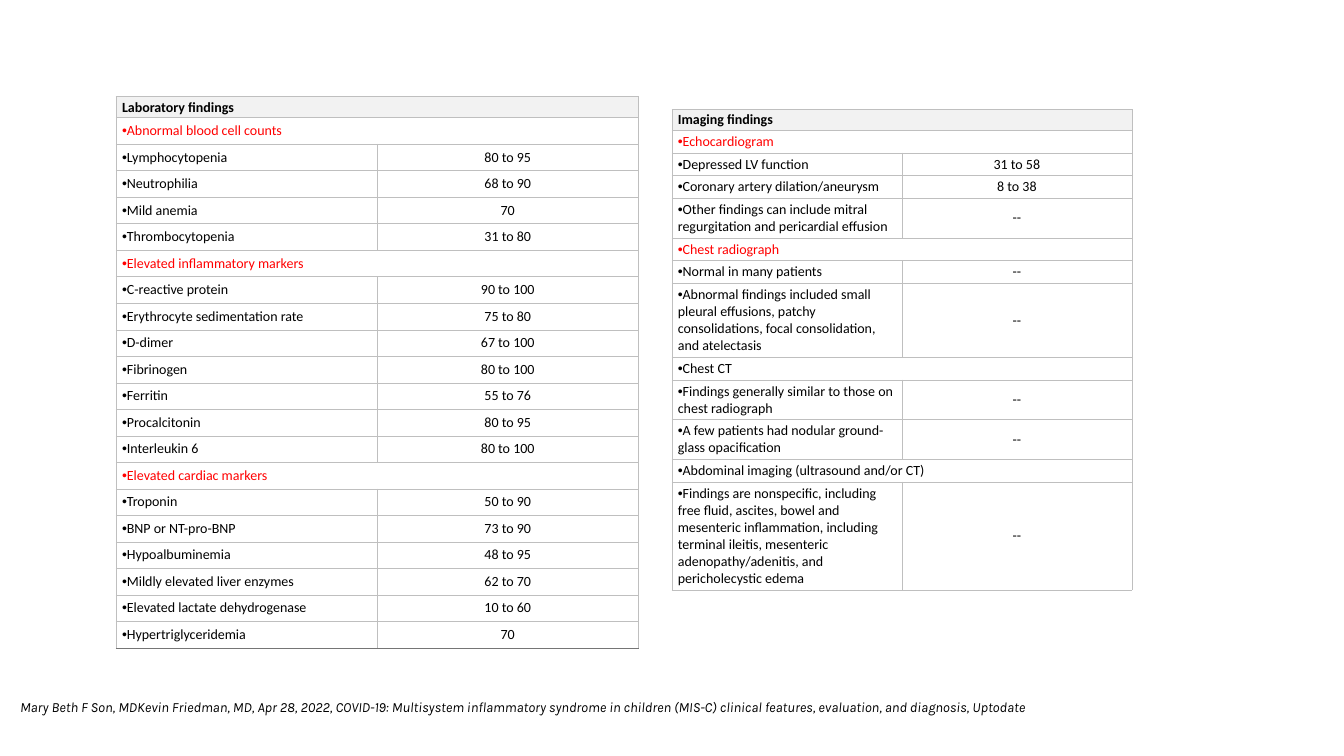
from lxml.etree import SubElement
from pptx import Presentation
from pptx.dml.color import RGBColor
from pptx.enum.text import MSO_ANCHOR, MSO_AUTO_SIZE, PP_ALIGN
from pptx.oxml.ns import qn
from pptx.util import Pt

BLACK, RED, WHITE = "000000", "FF0000", "FFFFFF"
HEADER_FILL, GRID, LAST_EDGE = "F2F2F2", "BFBFBF", "757575"
LINE_HEIGHT, SIDE_MARGIN = 12.2, 4.3
HEADER_MARGIN, BODY_MARGIN = 1.4, 2

# Each row: finding, value (None for a group heading), number of text lines
LABORATORY = {
    "title": "Laboratory findings",
    "left": 82.9, "top": 69.1, "column": 186.5, "row_padding": 6.75,
    "red": ("Abnormal blood cell counts", "Elevated inflammatory markers", "Elevated cardiac markers"),
    "last_edge": LAST_EDGE,
    "rows": [
        ("Abnormal blood cell counts", None, 1),
        ("Lymphocytopenia", "80 to 95", 1),
        ("Neutrophilia", "68 to 90", 1),
        ("Mild anemia", "70", 1),
        ("Thrombocytopenia", "31 to 80", 1),
        ("Elevated inflammatory markers", None, 1),
        ("C-reactive protein", "90 to 100", 1),
        ("Erythrocyte sedimentation rate", "75 to 80", 1),
        ("D-dimer", "67 to 100", 1),
        ("Fibrinogen", "80 to 100", 1),
        ("Ferritin", "55 to 76", 1),
        ("Procalcitonin", "80 to 95", 1),
        ("Interleukin 6", "80 to 100", 1),
        ("Elevated cardiac markers", None, 1),
        ("Troponin", "50 to 90", 1),
        ("BNP or NT-pro-BNP", "73 to 90", 1),
        ("Hypoalbuminemia", "48 to 95", 1),
        ("Mildly elevated liver enzymes", "62 to 70", 1),
        ("Elevated lactate dehydrogenase", "10 to 60", 1),
        ("Hypertriglyceridemia", "70", 1),
    ],
}
IMAGING = {
    "title": "Imaging findings",
    "left": 479.9, "top": 78.1, "column": 164.3, "row_padding": 4,
    "red": ("Echocardiogram", "Chest radiograph"),
    "last_edge": GRID,
    "rows": [
        ("Echocardiogram", None, 1),
        ("Depressed LV function", "31 to 58", 1),
        ("Coronary artery dilation/aneurysm", "8 to 38", 1),
        ("Other findings can include mitral regurgitation and pericardial effusion", "--", 2),
        ("Chest radiograph", None, 1),
        ("Normal in many patients", "--", 1),
        ("Abnormal findings included small pleural effusions, patchy consolidations, "
         "focal consolidation, and atelectasis", "--", 4),
        ("Chest CT", None, 1),
        ("Findings generally similar to those on chest radiograph", "--", 2),
        ("A few patients had nodular ground-glass opacification", "--", 2),
        ("Abdominal imaging (ultrasound and/or CT)", None, 1),
        ("Findings are nonspecific, including free fluid, ascites, bowel and mesenteric "
         "inflammation, including terminal ileitis, mesenteric adenopathy/adenitis, "
         "and pericholecystic edema", "--", 6),
    ],
}
CITATION = (
    "Mary Beth F Son, MDKevin Friedman, MD, Apr 28, 2022, COVID-19: Multisystem inflammatory "
    "syndrome in children (MIS-C) clinical features, evaluation, and diagnosis, Uptodate"
)


def color(hex_text):
    return RGBColor.from_string(hex_text)


def set_font(paragraph, name, hex_text, bold=False, italic=False):
    font = paragraph.font
    font.name, font.size, font.bold, font.italic = name, Pt(10), bold, italic
    font.color.rgb = color(hex_text)


def add_bullet(paragraph):
    properties = paragraph._p.get_or_add_pPr()
    properties.set("marL", "0")
    properties.set("indent", "0")
    SubElement(properties, qn("a:buFont")).set("typeface", "Arial")
    SubElement(properties, qn("a:buChar")).set("char", "•")


def style_cell(cell, fill, margin, bottom_edge):
    """Set borders first: they precede the fill in the cell's XML."""
    properties = cell._tc.get_or_add_tcPr()
    for side, edge in (("L", GRID), ("R", GRID), ("T", GRID), ("B", bottom_edge)):
        line = SubElement(properties, qn(f"a:ln{side}"), w=str(Pt(0.5)))
        SubElement(SubElement(line, qn("a:solidFill")), qn("a:srgbClr"), val=edge)
    cell.fill.solid()
    cell.fill.fore_color.rgb = color(fill)
    cell.vertical_anchor = MSO_ANCHOR.MIDDLE
    cell.margin_left = cell.margin_right = Pt(SIDE_MARGIN)
    cell.margin_top = cell.margin_bottom = Pt(margin)


def write_cell(cell, text, hex_text=BLACK, bold=False, bullet=False, align=PP_ALIGN.LEFT):
    paragraph = cell.text_frame.paragraphs[0]
    paragraph.text = text
    paragraph.alignment = align
    if bullet:
        add_bullet(paragraph)
    set_font(paragraph, "Calibri", hex_text, bold=bold)


def add_findings(slide, findings):
    rows = findings["rows"]
    heights = [LINE_HEIGHT + 2 * HEADER_MARGIN]
    heights += [lines * LINE_HEIGHT + findings["row_padding"] for _, _, lines in rows]
    table = slide.shapes.add_table(
        len(heights), 2, Pt(findings["left"]), Pt(findings["top"]),
        Pt(2 * findings["column"]), Pt(sum(heights))).table
    for column in table.columns:
        column.width = Pt(findings["column"])
    for index, height in enumerate(heights):
        table.rows[index].height = Pt(height)
        edge = findings["last_edge"] if index == len(rows) else GRID
        for cell in table.rows[index].cells:
            if index == 0:
                style_cell(cell, HEADER_FILL, HEADER_MARGIN, edge)
            else:
                style_cell(cell, WHITE, BODY_MARGIN, edge)

    table.cell(0, 0).merge(table.cell(0, 1))
    write_cell(table.cell(0, 0), findings["title"], bold=True)
    for index, (finding, value, _) in enumerate(rows, start=1):
        label, result = table.cell(index, 0), table.cell(index, 1)
        write_cell(label, finding, RED if finding in findings["red"] else BLACK, bullet=True)
        if value is None:
            label.merge(result)
        else:
            write_cell(result, value, align=PP_ALIGN.CENTER)


def add_citation(slide):
    frame = slide.shapes.add_textbox(Pt(7.2), Pt(495.4), Pt(807.1), Pt(19.4)).text_frame
    frame.word_wrap = True
    frame.auto_size = MSO_AUTO_SIZE.SHAPE_TO_FIT_TEXT
    paragraph = frame.paragraphs[0]
    paragraph.text = CITATION
    set_font(paragraph, "Karla", BLACK, italic=True)


def main():
    presentation = Presentation()
    presentation.slide_width, presentation.slide_height = Pt(960), Pt(540)
    slide = presentation.slides.add_slide(presentation.slide_layouts[6])
    for findings in (LABORATORY, IMAGING):
        add_findings(slide, findings)
    add_citation(slide)
    presentation.save("out.pptx")


if __name__ == "__main__":
    main()
